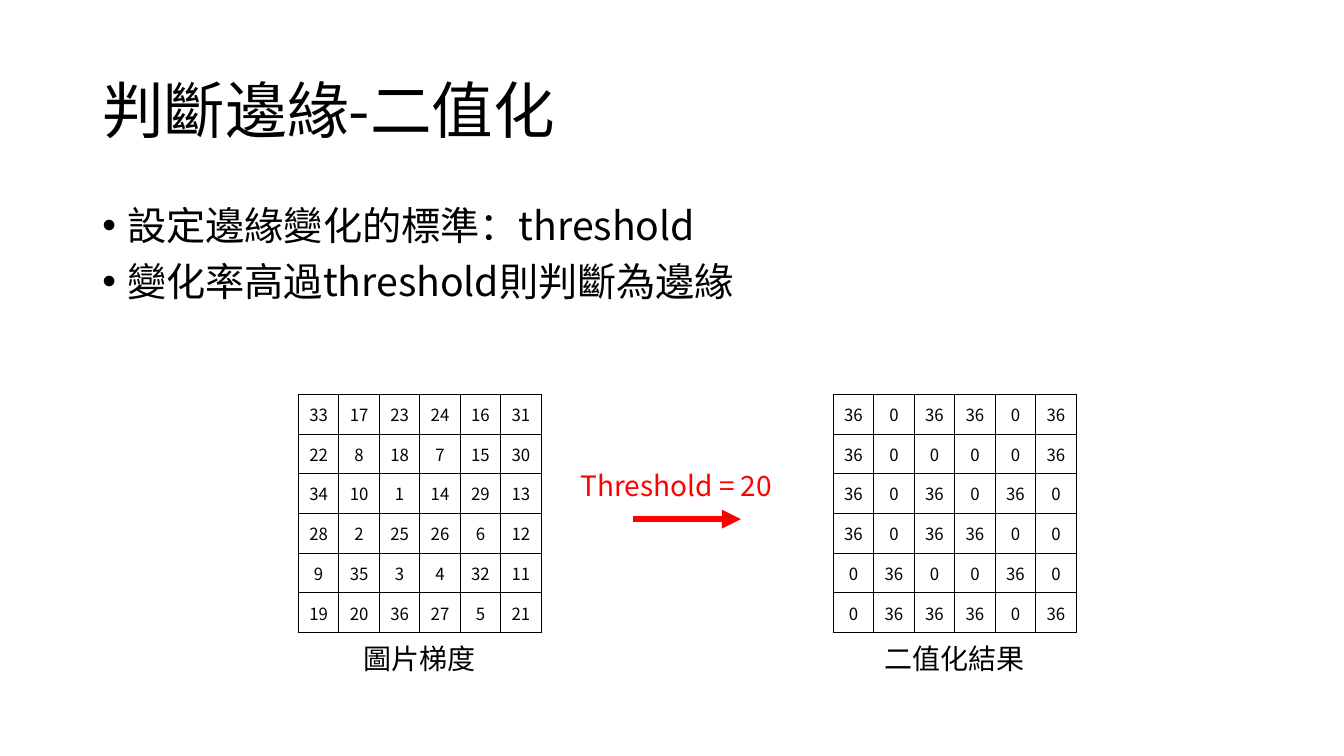
import pptx
import pptx.util
import pptx.dml.color
import pptx.enum.shapes
import pptx.enum.text
import lxml.etree
from pptx.oxml.ns import qn

Cm, Pt = pptx.util.Cm, pptx.util.Pt
RGB = pptx.dml.color.RGBColor
ALIGN = pptx.enum.text.PP_ALIGN
ANCHOR = pptx.enum.text.MSO_ANCHOR

THEME = {
    "font": "Noto Sans CJK JP",
    "ink": RGB(0, 0, 0),
    "accent": RGB(255, 0, 0),
    "title": Pt(44),
    "body": Pt(28),
    "label": Pt(20),
    "cell": Pt(12),
    "border": Pt(1),
    "arrow": Pt(4.5),
}


def write(paragraph, text, size, color=THEME["ink"], **formats):
    """Add one run in the theme font, for Latin and East Asian text alike."""
    for name, value in formats.items():
        setattr(paragraph, name, value)
    run = paragraph.add_run()
    run.text = text
    run.font.size = size
    run.font.name = THEME["font"]
    run.font.color.rgb = color
    lxml.etree.SubElement(run.font._element, qn("a:ea"), typeface=THEME["font"])


def add_box(left, top, width, height, anchor=ANCHOR.TOP):
    frame = slide.shapes.add_textbox(Cm(left), Cm(top), Cm(width), Cm(height)).text_frame
    frame.word_wrap = True
    frame.vertical_anchor = anchor
    return frame


deck = pptx.Presentation()
deck.slide_width, deck.slide_height = Cm(33.87), Cm(19.05)
slide = deck.slides.add_slide(deck.slide_layouts[6])

title = add_box(2.33, 1.01, 29.21, 3.68, ANCHOR.MIDDLE)
write(title.paragraphs[0], "判斷邊緣-二值化", THEME["title"], line_spacing=0.9)

points = add_box(2.33, 5.07, 29.21, 12.09)
for index, point in enumerate(["設定邊緣變化的標準：threshold", "變化率高過threshold則判斷為邊緣"]):
    paragraph = points.add_paragraph() if index else points.paragraphs[0]
    properties = paragraph._p.get_or_add_pPr()
    properties.set("marL", str(Cm(0.63)))
    properties.set("indent", str(-Cm(0.63)))
    lxml.etree.SubElement(properties, qn("a:buFont"), typeface="Arial")
    lxml.etree.SubElement(properties, qn("a:buChar"), char="•")
    write(paragraph, point, THEME["body"], line_spacing=0.9, space_before=Pt(10 * index))

gradient = [
    [33, 17, 23, 24, 16, 31],
    [22, 8, 18, 7, 15, 30],
    [34, 10, 1, 14, 29, 13],
    [28, 2, 25, 26, 6, 12],
    [9, 35, 3, 4, 32, 11],
    [19, 20, 36, 27, 5, 21],
]
binarized = [
    [36, 0, 36, 36, 0, 36],
    [36, 0, 0, 0, 0, 36],
    [36, 0, 36, 0, 36, 0],
    [36, 0, 36, 36, 0, 0],
    [0, 36, 0, 0, 36, 0],
    [0, 36, 36, 36, 0, 36],
]
COLUMN, ROW, CAPTION = 1.02, 1.0, 5.92

for left, values, caption in [(7.52, gradient, "圖片梯度"), (21.0, binarized, "二值化結果")]:
    width, height = COLUMN * len(values[0]), ROW * len(values)
    grid = slide.shapes.add_table(
        len(values), len(values[0]), Cm(left), Cm(9.94), Cm(width), Cm(height)
    ).table
    grid.first_row = grid.horz_banding = False
    for column in grid.columns:
        column.width = Cm(COLUMN)
    for row, numbers in zip(grid.rows, values):
        row.height = Cm(ROW)
        for cell, number in zip(row.cells, numbers):
            cell.vertical_anchor = ANCHOR.MIDDLE
            write(cell.text_frame.paragraphs[0], str(number), THEME["cell"], alignment=ALIGN.CENTER)
            borders = cell._tc.get_or_add_tcPr()
            for side in ("a:lnL", "a:lnR", "a:lnT", "a:lnB"):
                border = lxml.etree.SubElement(borders, qn(side), w=str(THEME["border"]))
                paint = lxml.etree.SubElement(border, qn("a:solidFill"))
                lxml.etree.SubElement(paint, qn("a:srgbClr"), val=str(THEME["ink"]))
            cell.fill.background()
    caption_box = add_box(left + (width - CAPTION) / 2, 16.05, CAPTION, 1.11)
    write(caption_box.paragraphs[0], caption, THEME["label"], alignment=ALIGN.CENTER)

arrow = slide.shapes.add_connector(
    pptx.enum.shapes.MSO_CONNECTOR.STRAIGHT, Cm(15.95), Cm(13.08), Cm(18.67), Cm(13.08)
)
arrow.line.color.rgb = THEME["accent"]
arrow.line.width = THEME["arrow"]
lxml.etree.SubElement(arrow.line._get_or_add_ln(), qn("a:tailEnd"), type="triangle")
lxml.etree.SubElement(arrow._element.spPr, qn("a:effectLst"))

threshold = add_box(14.38, 11.68, CAPTION, 1.11)
write(threshold.paragraphs[0], "Threshold = 20", THEME["label"], THEME["accent"])

deck.save("out.pptx")
